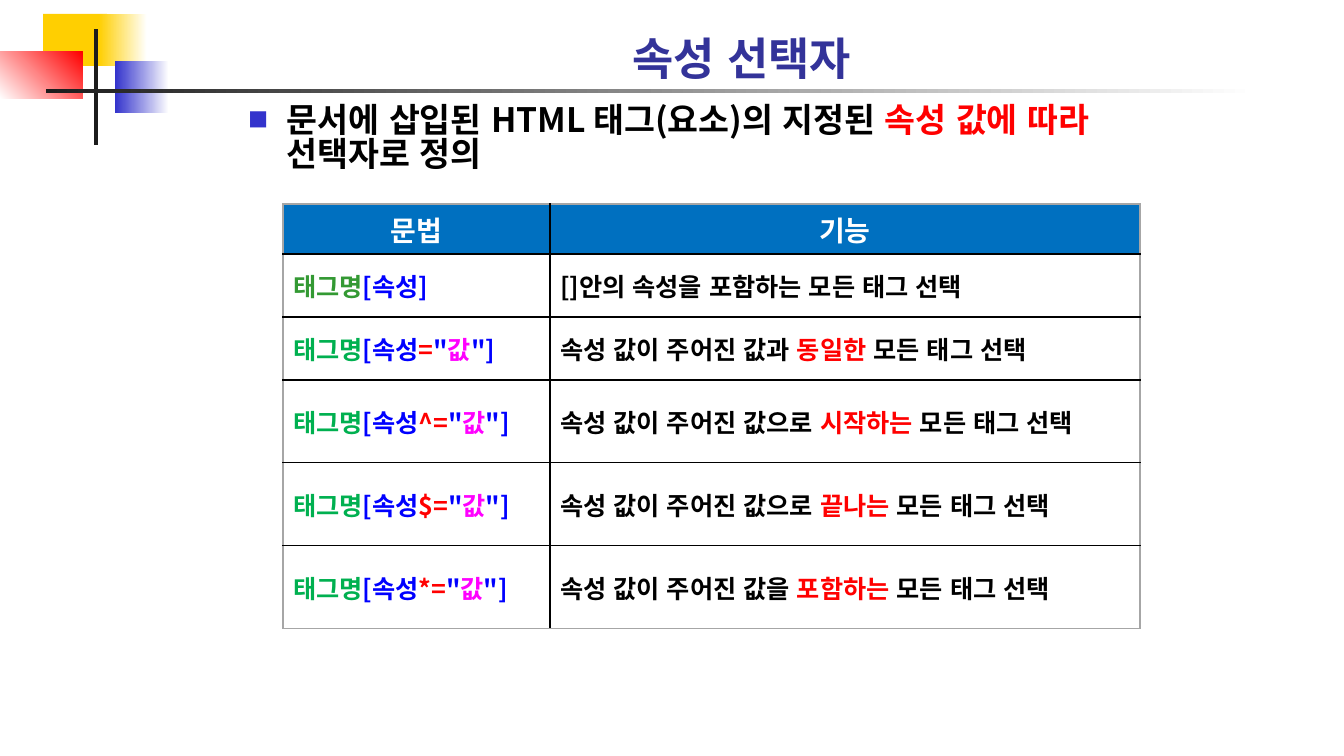
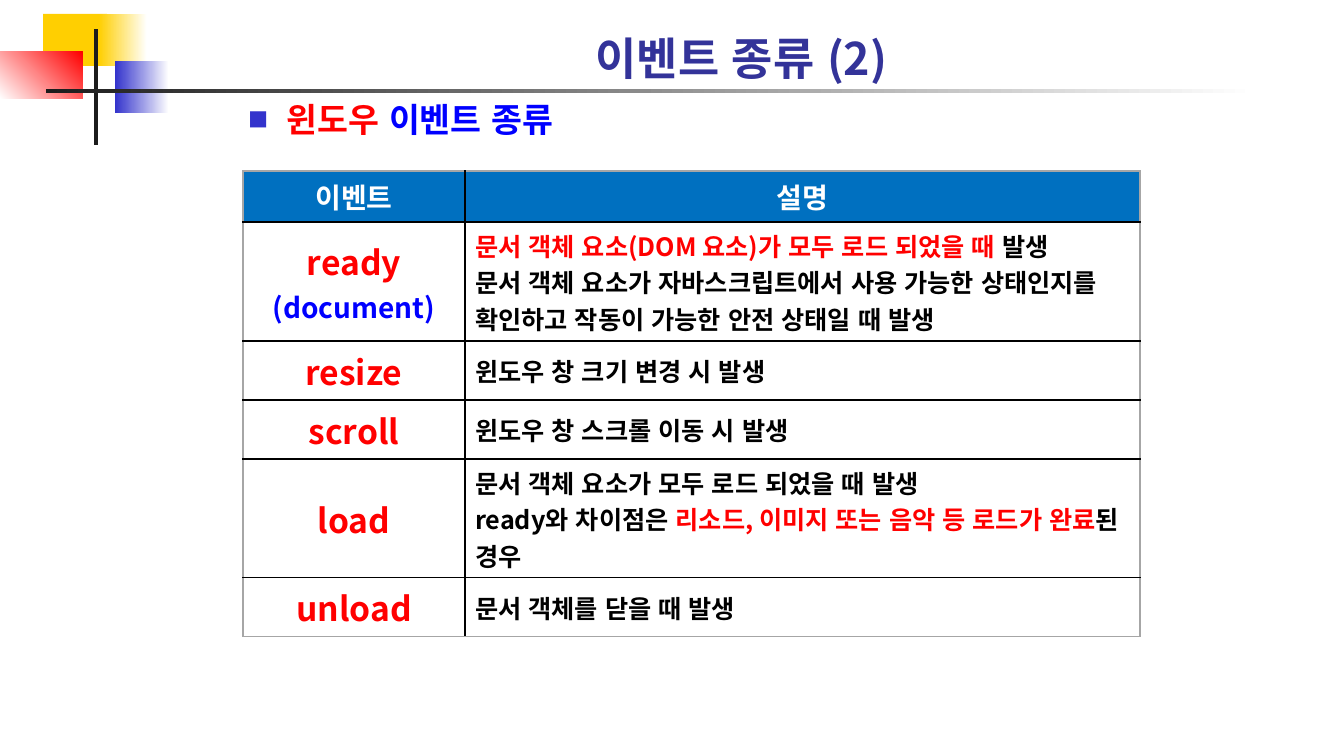
from lxml import etree
from pptx import Presentation
from pptx import util as u
from pptx.dml.color import RGBColor
from pptx.enum import lang, shapes, text
from pptx.oxml.ns import qn

SCALE = 914400 / 100.8
FONT = "Noto Sans CJK KR"
COLORS = {
    "black": "000000", "white": "FFFFFF", "red": "FF0000", "blue": "0000FF",
    "green": "00B050", "leaf": "339933", "magenta": "FF00FF",
    "title": "333399", "bullet": "3333CC", "header": "0070C0",
    "yellow": "FFCF01", "dark": "1C1C1C", "edge": "A6A6A6",
}
CENTER = text.PP_ALIGN.CENTER
LEFT = text.PP_ALIGN.LEFT


def px(length):
    return u.Emu(round(length * SCALE))


def rgb(name):
    return RGBColor.from_string(COLORS[name])


def add_node(parent, tag, **attributes):
    return etree.SubElement(parent, qn(tag), attributes)


class Deck:
    def __init__(self):
        self.deck = Presentation()
        self.deck.slide_width = px(1344)
        self.deck.slide_height = px(756)
        self.page = None

    def new_page(self, title):
        self.page = self.deck.slides.add_slide(self.deck.slide_layouts[6])
        self.ornament()
        self.title(title)

    def ornament(self):
        self.block(43, 14, 64, 52, "yellow")
        self.block(99, 14, 48, 52, "yellow", "white")
        self.block(115, 61, 54, 52, "bullet", "white")
        self.block(0, 52, 83, 47, "white", "red", angle=45)
        self.block(94, 29, 4, 116, "dark")
        self.block(46, 89, 1210, 4, "dark", "white")

    def block(self, left, top, width, height, color, fade=None, angle=0):
        box = self.page.shapes.add_shape(
            shapes.MSO_SHAPE.RECTANGLE, px(left), px(top), px(width), px(height))
        box.shadow.inherit = False
        box.line.fill.background()
        if fade:
            box.fill.gradient()
            box.fill.gradient_angle = angle
            for stop, name in zip(box.fill.gradient_stops, (color, fade)):
                stop.color.rgb = rgb(name)
        else:
            box.fill.solid()
            box.fill.fore_color.rgb = rgb(color)

    def textbox(self, left, top, width, height):
        box = self.page.shapes.add_textbox(px(left), px(top), px(width), px(height))
        box.text_frame.word_wrap = True
        return box.text_frame

    def add_spans(self, para, spans, size, align=LEFT):
        para.alignment = align
        for words, color in spans:
            span = para.add_run()
            span.text = words
            font = span.font
            font.name, font.size, font.bold = FONT, u.Pt(size), True
            font.color.rgb = rgb(color)
            font.language_id = lang.MSO_LANGUAGE_ID.KOREAN
            latin = span._r.get_or_add_rPr().find(qn("a:latin"))
            latin.addnext(latin.makeelement(qn("a:ea"), {"typeface": FONT}))

    def title(self, words):
        frame = self.textbox(169, 18, 1145, 66)
        frame.margin_top = frame.margin_bottom = 0
        frame.vertical_anchor = text.MSO_ANCHOR.BOTTOM
        self.add_spans(frame.paragraphs[0], [(words, "title")], 32, CENTER)

    def bullet(self, spans, height):
        para = self.textbox(239, 100, 916, height).paragraphs[0]
        para.line_spacing = 0.85
        self.add_spans(para, spans, 24)
        props = para._p.get_or_add_pPr()
        props.set("marL", str(px(38)))
        props.set("indent", str(-px(38)))
        add_node(add_node(props, "a:buClr"), "a:srgbClr", val=COLORS["bullet"])
        add_node(props, "a:buSzPct", val="60000")
        add_node(props, "a:buFont", typeface=FONT)
        add_node(props, "a:buChar", char="■")

    def borders(self, cell, outer_sides):
        props = cell._tc.get_or_add_tcPr()
        for side, outer in zip("LRTB", outer_sides):
            line = add_node(props, "a:ln" + side, w=str(u.Pt(1)))
            fill = add_node(line, "a:solidFill")
            add_node(fill, "a:srgbClr", val=COLORS["edge" if outer else "black"])

    def table(self, left, top, widths, heights, headings, rows):
        table = self.page.shapes.add_table(
            len(heights), len(widths), px(left), px(top),
            px(sum(widths)), px(sum(heights))).table
        table.first_row = table.horz_banding = False
        for column, width in zip(table.columns, widths):
            column.width = px(width)
        for row, height in zip(table.rows, heights):
            row.height = px(height)
        header = [[(20, CENTER, [(words, "white")])] for words in headings]
        last_row, last_column = len(heights) - 1, len(widths) - 1
        for r, row in enumerate([header, *rows]):
            for c, lines in enumerate(row):
                cell = table.cell(r, c)
                cell.vertical_anchor = text.MSO_ANCHOR.MIDDLE
                self.borders(cell, (c == 0, c == last_column, r == 0, r == last_row))
                if r == 0:
                    cell.fill.solid()
                    cell.fill.fore_color.rgb = rgb("header")
                else:
                    cell.fill.background()
                frame = cell.text_frame
                for i, (size, align, spans) in enumerate(lines):
                    para = frame.add_paragraph() if i else frame.paragraphs[0]
                    self.add_spans(para, spans, size, align)


def note(*spans):
    return (18, LEFT, list(spans))


def matcher(operator, start, keyword):
    syntax = note(("태그명", "green"), ("[속성", "blue"), (operator, "red"),
                  ('"', "blue"), ("값", "magenta"), ('"]', "blue"))
    meaning = note((start, "black"), (keyword, "red"), (" 모든 태그 선택", "black"))
    return [[syntax], [meaning]]


def event(name, *notes, target=None):
    lines = [(24, CENTER, [(name, "red")])]
    if target:
        lines.append((20, CENTER, [(target, "blue")]))
    return [lines, list(notes)]


def attribute_page(deck):
    deck.new_page("속성 선택자")
    deck.bullet([("문서에 삽입된 HTML 태그(요소)의 지정된 ", "black"),
                 ("속성 값에 따라 ", "red"), ("선택자로 정의", "black")], 96)
    deck.table(283, 204, [267, 590], [50, 63, 63, 83, 83, 83], ["문법", "기능"], [
        [[note(("태그명", "leaf"), ("[속성]", "blue"))],
         [note(("[]안의 속성을 포함하는 모든 태그 선택", "black"))]],
        matcher("=", "속성 값이 주어진 값과 ", "동일한"),
        matcher("^=", "속성 값이 주어진 값으로 ", "시작하는"),
        matcher("$=", "속성 값이 주어진 값으로 ", "끝나는"),
        matcher("*=", "속성 값이 주어진 값을 ", "포함하는"),
    ])


def event_page(deck):
    deck.new_page("이벤트 종류 (2)")
    deck.bullet([("윈도우 ", "red"), ("이벤트 종류", "blue")], 56)
    deck.table(243, 171, [222, 675], [51, 119, 59, 59, 119, 59], ["이벤트", "설명"], [
        event("ready",
              note(("문서 객체 요소(DOM 요소)가 모두 로드 되었을 때 ", "red"),
                   ("발생", "black")),
              note(("문서 객체 요소가 자바스크립트에서 사용 가능한 상태인지를 "
                    "확인하고 작동이 가능한 안전 상태일 때 발생", "black")),
              target="(document)"),
        event("resize", note(("윈도우 창 크기 변경 시 발생", "black"))),
        event("scroll", note(("윈도우 창 스크롤 이동 시 발생", "black"))),
        event("load",
              note(("문서 객체 요소가 모두 로드 되었을 때 발생", "black")),
              note(("ready와 차이점은 ", "black"),
                   ("리소드, 이미지 또는 음악 등 로드가 완료", "red"),
                   ("된 경우", "black"))),
        event("unload", note(("문서 객체를 닫을 때 발생", "black"))),
    ])


def main():
    deck = Deck()
    attribute_page(deck)
    event_page(deck)
    deck.deck.save("out.pptx")


if __name__ == "__main__":
    main()
